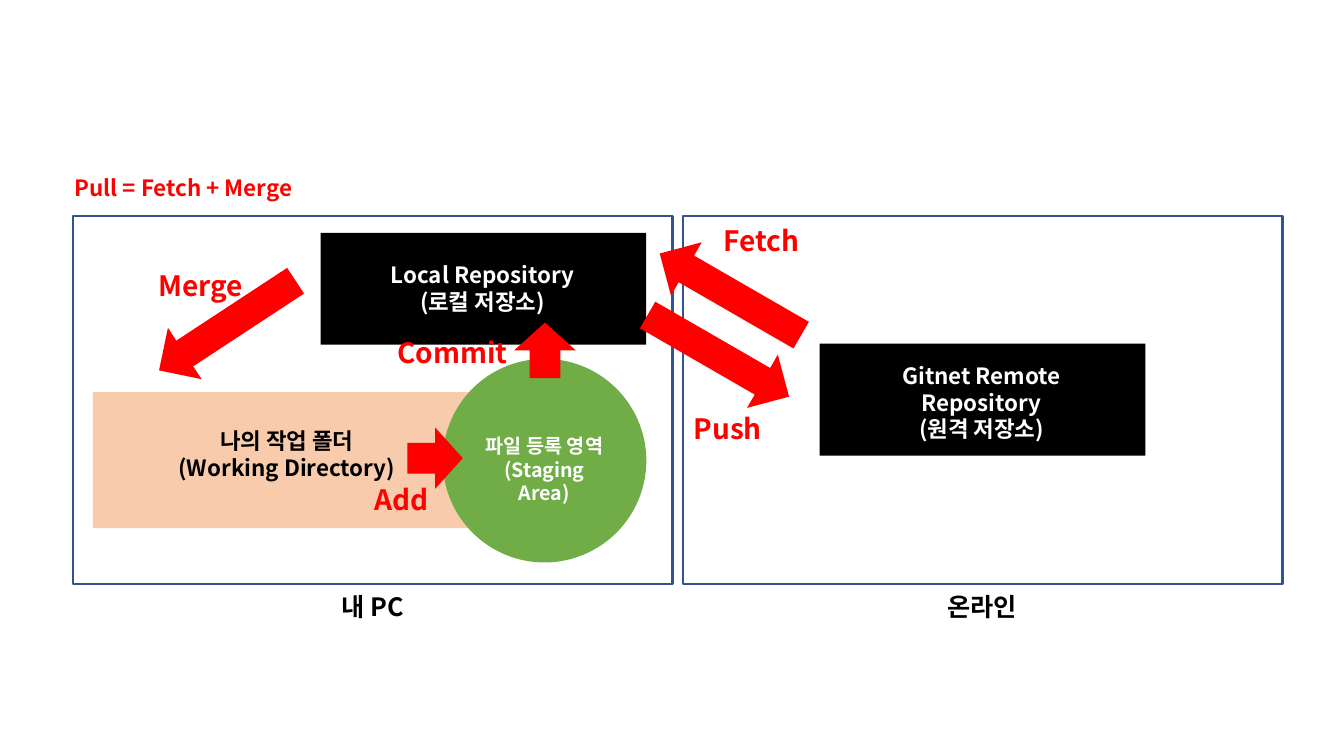
from pptx import Presentation
from pptx.dml.color import RGBColor
from pptx.enum.shapes import MSO_SHAPE
from pptx.enum.text import MSO_ANCHOR, MSO_AUTO_SIZE, PP_ALIGN
from pptx.oxml.ns import qn
from pptx.util import Inches, Pt

FONT = "Noto Sans CJK KR"
BLACK = RGBColor(0x00, 0x00, 0x00)
WHITE = RGBColor(0xFF, 0xFF, 0xFF)
RED = RGBColor(0xFF, 0x00, 0x00)
PEACH = RGBColor(0xF8, 0xCB, 0xAD)
GREEN = RGBColor(0x70, 0xAD, 0x47)
NAVY = RGBColor(0x32, 0x54, 0x91)

PANEL_WIDTH, PANEL_HEIGHT = 5.95, 3.65
REPOSITORY_SIZE = (3.23, 1.11)
LONG_ARROW = (0.61, 1.62)
SHORT_ARROW = (0.61, 0.55)


def add_text(page, text, left, top, width, height, size=16, color=BLACK,
             align=PP_ALIGN.LEFT):
    box = page.shapes.add_textbox(Inches(left), Inches(top), Inches(width), Inches(height))
    frame = box.text_frame
    frame.word_wrap = True
    frame.auto_size = MSO_AUTO_SIZE.SHAPE_TO_FIT_TEXT
    frame.vertical_anchor = MSO_ANCHOR.TOP
    for index, line in enumerate(text.split("\n")):
        para = frame.paragraphs[0] if index == 0 else frame.add_paragraph()
        para.alignment = align
        span = para.add_run()
        span.text = line
        span.font.name = FONT
        span.font.size = Pt(size)
        span.font.bold = True
        span.font.color.rgb = color
        # Korean letters take the East Asian typeface
        east_asian = span.font._element.makeelement(qn("a:ea"), {"typeface": FONT})
        span.font._element.find(qn("a:latin")).addnext(east_asian)


def add_figure(page, kind, left, top, width, height, fill=None, line=None, rotation=0):
    figure = page.shapes.add_shape(kind, Inches(left), Inches(top), Inches(width), Inches(height))
    figure.shadow.inherit = False
    figure.rotation = rotation
    if fill is None:
        figure.fill.background()
    else:
        figure.fill.solid()
        figure.fill.fore_color.rgb = fill
    if line is None:
        figure.line.fill.background()
    else:
        figure.line.color.rgb = line
        figure.line.width = Pt(1.5)


def add_node(page, kind, text, left, top, width, height, fill, label, **text_format):
    """Filled shape; label gives its text box relative to the shape."""
    add_figure(page, kind, left, top, width, height, fill=fill)
    dx, dy, label_width, label_height = label
    add_text(page, text, left + dx, top + dy, label_width, label_height,
             align=PP_ALIGN.CENTER, **text_format)


def add_panel(page, caption, left, top, caption_dx, caption_width):
    add_figure(page, MSO_SHAPE.RECTANGLE, left, top, PANEL_WIDTH, PANEL_HEIGHT, line=NAVY)
    add_text(page, caption, left + caption_dx, top + PANEL_HEIGHT + 0.03,
             caption_width, 0.4, size=18)


def add_local_side(page, left, top):
    add_node(page, MSO_SHAPE.RECTANGLE, "나의 작업 폴더\n(Working Directory)",
             left + 0.2, top + 1.75, 4.01, 1.35, PEACH, (0.23, 0.3, 3.39, 0.64))
    add_node(page, MSO_SHAPE.OVAL, "파일 등록 영역\n(Staging Area)",
             left + 3.67, top + 1.42, 2.02, 2.02, GREEN, (0.25, 0.7, 1.52, 0.57),
             size=14, color=WHITE)
    add_node(page, MSO_SHAPE.RECTANGLE, "Local Repository\n(로컬 저장소)",
             left + 2.46, top + 0.17, *REPOSITORY_SIZE, BLACK, (0.17, 0.23, 2.87, 0.64),
             color=WHITE)
    add_panel(page, "내 PC", left, top, 2.57, 0.89)
    add_text(page, "Pull = Fetch + Merge", left - 0.18, top - 0.46, 2.56, 0.37,
             color=RED, align=PP_ALIGN.CENTER)


def add_online_side(page, left, top):
    add_node(page, MSO_SHAPE.RECTANGLE, "Gitnet Remote Repository\n(원격 저장소)",
             left + 1.36, top + 1.27, *REPOSITORY_SIZE, BLACK, (0.17, 0.13, 2.87, 0.91),
             color=WHITE)
    add_panel(page, "온라인", left, top, 2.53, 0.97)


def add_commands(page, left, top):
    # Command name, arrow offset, arrow size, rotation, label offset and width
    commands = [
        ("Fetch", (6.22, -0.03), LONG_ARROW, 120, (6.36, 0.03), 1.22),
        ("Merge", (1.23, 0.28), LONG_ARROW, 56.7, (0.75, 0.47), 1.22),
        ("Add", (3.29, 2.13), SHORT_ARROW, 270, (2.9, 2.6), 0.84),
        ("Commit", (4.38, 1.06), SHORT_ARROW, 180, (3.12, 1.14), 1.31),
        ("Push", (6.1, 0.58), LONG_ARROW, 300, (6.06, 1.89), 0.94),
    ]
    for name, (arrow_dx, arrow_dy), size, rotation, (dx, dy), width in commands:
        add_figure(page, MSO_SHAPE.DOWN_ARROW, left + arrow_dx, top + arrow_dy, *size,
                   fill=RED, rotation=rotation)
        add_text(page, name, left + dx, top + dy, width, 0.44, size=20, color=RED)


def main():
    deck = Presentation()
    deck.slide_width, deck.slide_height = Inches(13.33), Inches(7.5)
    page = deck.slides.add_slide(deck.slide_layouts[6])
    left, top = 0.72, 2.14
    add_local_side(page, left, top)
    add_online_side(page, left + PANEL_WIDTH + 0.1, top)
    add_commands(page, left, top)
    deck.save("out.pptx")


if __name__ == "__main__":
    main()
